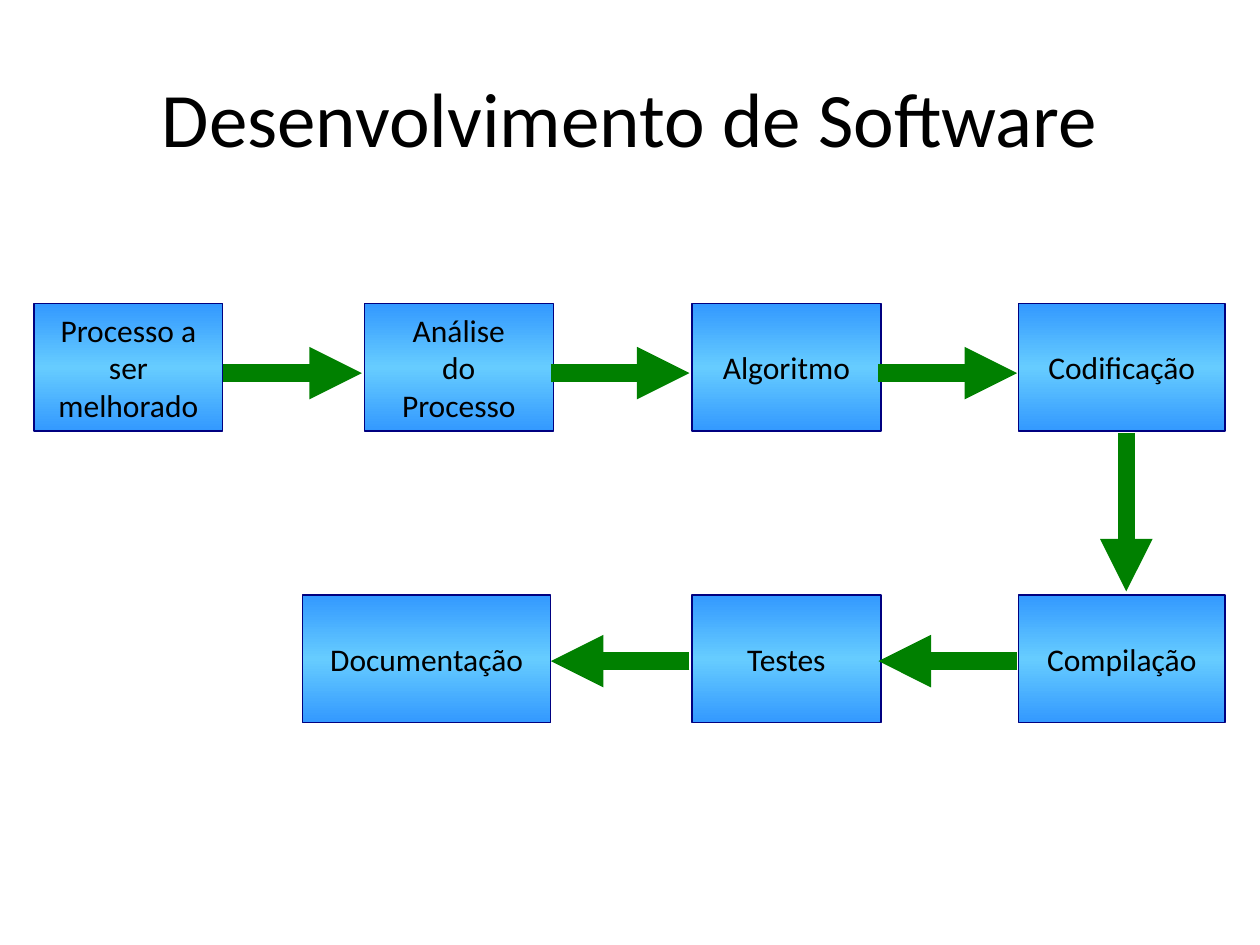
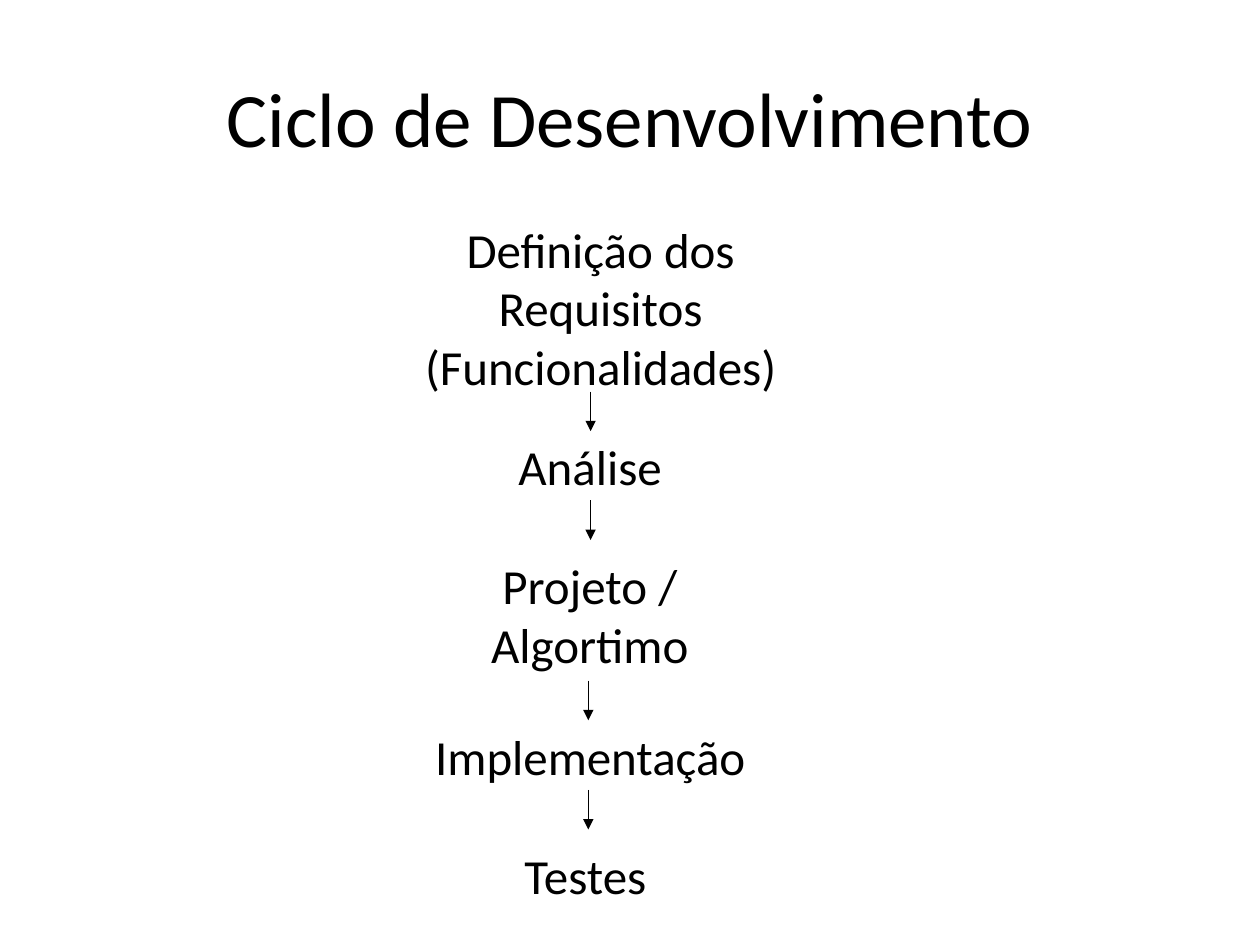
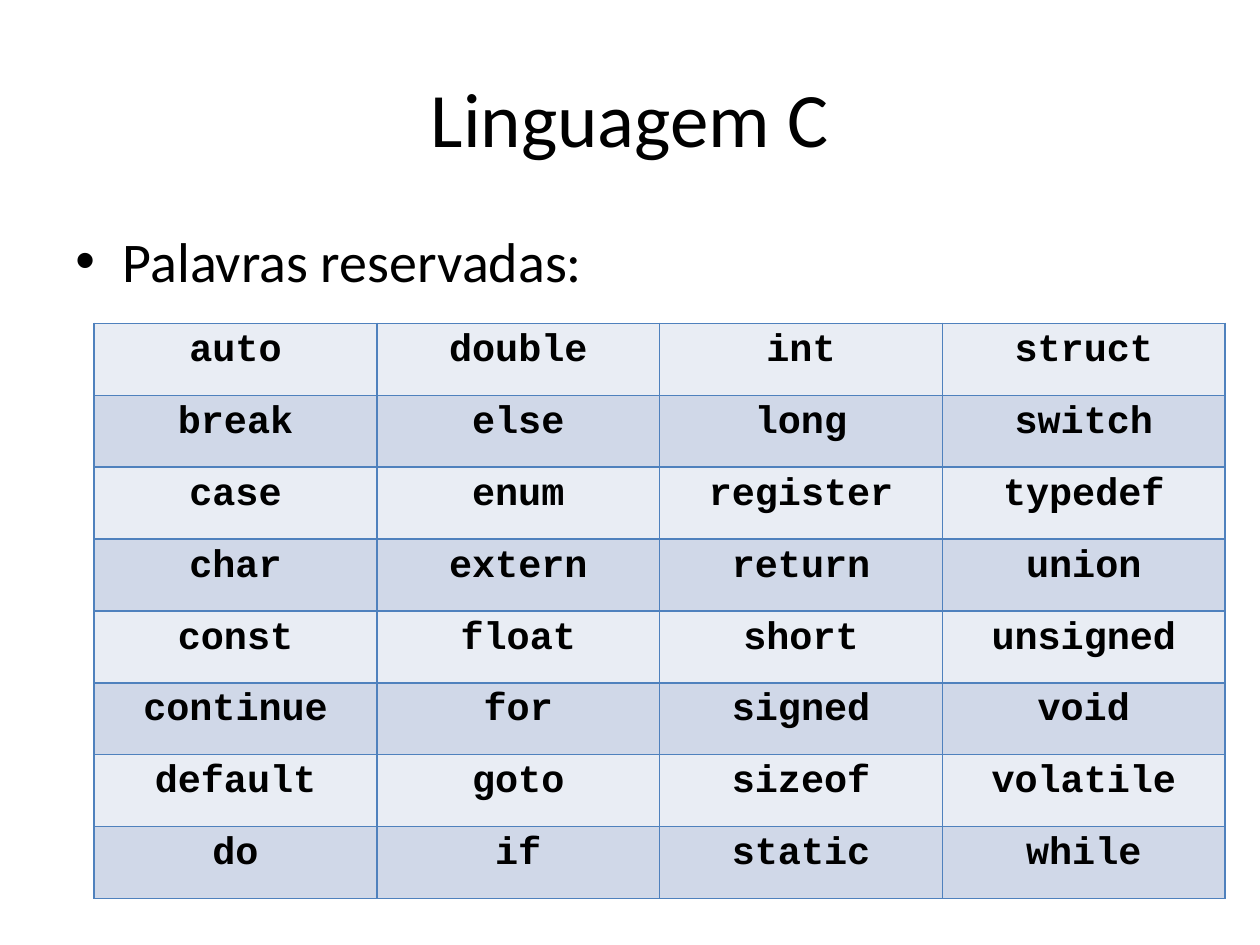
"""Build three slides on software development and the reserved words of C."""
from copy import deepcopy
from dataclasses import dataclass

from lxml import etree
from pptx import Presentation
from pptx import util as u
from pptx.dml.color import RGBColor
from pptx.enum import shapes, text
from pptx.oxml import ns

Pt = u.Pt


@dataclass(frozen=True)
class Theme:
    font: str = "Calibri"
    code_font: str = "Courier New"
    ink: str = "000000"
    edge: str = "000080"
    gradient: tuple = ((0, "3399FF"), (0.5, "66CCFF"), (1, "3399FF"))
    flow: str = "008000"
    grid: str = "4F81BD"
    bands: tuple = ("E9EDF4", "D0D8E8")
    title_size: float = 44
    body_size: float = 32
    step_size: float = 28
    code_size: float = 22
    box_size: float = 18
    hairline: float = 0.75
    flow_width: float = 10
    grid_width: float = 1


def write(frame, content, *, font, size, color, bold=False, align="CENTER",
          anchor="TOP", bullet=None, indent=0):
    frame.word_wrap = True
    frame.vertical_anchor = getattr(text.MSO_ANCHOR, anchor)
    for index, line in enumerate(content.split("\n")):
        para = frame.add_paragraph() if index else frame.paragraphs[0]
        para.alignment = getattr(text.PP_ALIGN, align)
        span = para.add_run()
        span.text = line
        span.font.name, span.font.size, span.font.bold = font, Pt(size), bold
        span.font.color.rgb = RGBColor.from_string(color)
        if bullet:
            props = para._p.get_or_add_pPr()
            props.set("marL", str(Pt(indent)))
            props.set("indent", str(-Pt(indent)))
            etree.SubElement(props, ns.qn("a:buFont"), typeface="Arial")
            etree.SubElement(props, ns.qn("a:buChar"), char=bullet)


class Slides:
    def __init__(self, theme):
        self.theme = theme
        self.deck = Presentation()
        self.deck.slide_width, self.deck.slide_height = Pt(720), Pt(540)
        self.page = None

    def start(self, title):
        self.page = self.deck.slides.add_slide(self.deck.slide_layouts[6])
        self.label(title, 36, 21.6, 648, 90, size=self.theme.title_size, anchor="MIDDLE")

    def label(self, content, left, top, width, height, **style):
        box = self.page.shapes.add_textbox(Pt(left), Pt(top), Pt(width), Pt(height))
        write(box.text_frame, content, font=self.theme.font, color=self.theme.ink, **style)

    def process(self, content, left, top, width, height):
        theme = self.theme
        box = self.page.shapes.add_shape(
            shapes.MSO_SHAPE.RECTANGLE, Pt(left), Pt(top), Pt(width), Pt(height))
        box.shadow.inherit = False
        box.fill.gradient()
        box.fill.gradient_angle = 90
        stops = box._element.spPr.find(".//" + ns.qn("a:gsLst"))
        stops.insert(1, deepcopy(stops[0]))
        for stop, (position, color) in zip(box.fill.gradient_stops, theme.gradient):
            stop.position = position
            stop.color.rgb = RGBColor.from_string(color)
        box.line.color.rgb = RGBColor.from_string(theme.edge)
        box.line.width = Pt(theme.hairline)
        write(box.text_frame, content, font=theme.font, size=theme.box_size,
              color=theme.ink, anchor="MIDDLE")

    def arrow(self, x1, y1, x2, y2, color, width):
        arrow = self.page.shapes.add_connector(
            shapes.MSO_CONNECTOR.STRAIGHT, Pt(x1), Pt(y1), Pt(x2), Pt(y2))
        arrow.line.color.rgb = RGBColor.from_string(color)
        arrow.line.width = Pt(width)
        etree.SubElement(arrow.line._get_or_add_ln(), ns.qn("a:tailEnd"), type="triangle")
        etree.SubElement(arrow._element.spPr, ns.qn("a:effectLst"))

    def borders(self, cell):
        props = cell._tc.get_or_add_tcPr()
        for side in ("lnL", "lnR", "lnT", "lnB"):
            line = etree.SubElement(props, ns.qn("a:" + side), w=str(Pt(self.theme.grid_width)))
            fill = etree.SubElement(line, ns.qn("a:solidFill"))
            etree.SubElement(fill, ns.qn("a:srgbClr"), val=self.theme.grid)

    def word_table(self, columns, left, top, width, height):
        theme = self.theme
        rows = list(zip(*columns))
        table = self.page.shapes.add_table(
            len(rows), len(columns), Pt(left), Pt(top), Pt(width), Pt(height)).table
        table.first_row = table.horz_banding = False
        for r, words in enumerate(rows):
            for c, word in enumerate(words):
                cell = table.cell(r, c)
                self.borders(cell)
                cell.fill.solid()
                cell.fill.fore_color.rgb = RGBColor.from_string(theme.bands[r % 2])
                write(cell.text_frame, word, font=theme.code_font, size=theme.code_size,
                      color=theme.ink, bold=True)


def software_flow(slides):
    theme = slides.theme
    slides.start("Desenvolvimento de Software")
    top_row, bottom_row, height = 173.4, 340, 73
    for content, left, top, width in (
            ("Processo a ser melhorado", 19.4, top_row, 108),
            ("Análise\ndo\nProcesso", 208.2, top_row, 108),
            ("Algoritmo", 395.4, top_row, 108),
            ("Codificação", 582, top_row, 118),
            ("Compilação", 582, bottom_row, 118),
            ("Testes", 395.4, bottom_row, 108),
            ("Documentação", 172.8, bottom_row, 142)):
        slides.process(content, left, top, width, height)
    first, pitch, length = 127.6, 187.2, 79.2
    starts = [first + pitch * step for step in range(3)]
    flows = [(x, 213.2, x + length, 213.2) for x in starts]
    flows += [(x + length, 377.8, x, 377.8) for x in starts[1:]]
    flows.append((643.6, 247.4, 643.6, 338))
    for flow in flows:
        slides.arrow(*flow, theme.flow, theme.flow_width)


def development_cycle(slides):
    theme = slides.theme
    slides.start("Ciclo de Desenvolvimento")
    for content, left, top, width, height in (
            ("Definição dos Requisitos (Funcionalidades)", 201.4, 121.7, 283.6, 108),
            ("Análise", 269.2, 246.2, 136, 41),
            ("Projeto / Algortimo", 252, 314, 170, 74),
            ("Implementação", 221, 411.8, 232.6, 41),
            ("Testes", 275, 479.6, 119, 41)):
        slides.label(content, left, top, width, height, size=theme.step_size)
    for x, top in ((337.5, 223.8), (337.5, 286), (336.2, 389), (336.2, 451.4)):
        slides.arrow(x, top, x, top + 22.6, theme.ink, theme.hairline)


def reserved_words(slides):
    slides.start("Linguagem C")
    slides.label("Palavras reservadas:", 36, 126, 648, 356.4, size=slides.theme.body_size,
                 align="LEFT", bullet="•", indent=27)
    columns = [names.split() for names in (
        "auto break case char const continue default do",
        "double else enum extern float for goto if",
        "int long register return short signed sizeof static",
        "struct switch typedef union unsigned void volatile while")]
    slides.word_table(columns, 53.8, 184.8, 646.4, 328.8)


def main():
    slides = Slides(Theme())
    software_flow(slides)
    development_cycle(slides)
    reserved_words(slides)
    slides.deck.save("out.pptx")


if __name__ == "__main__":
    main()
